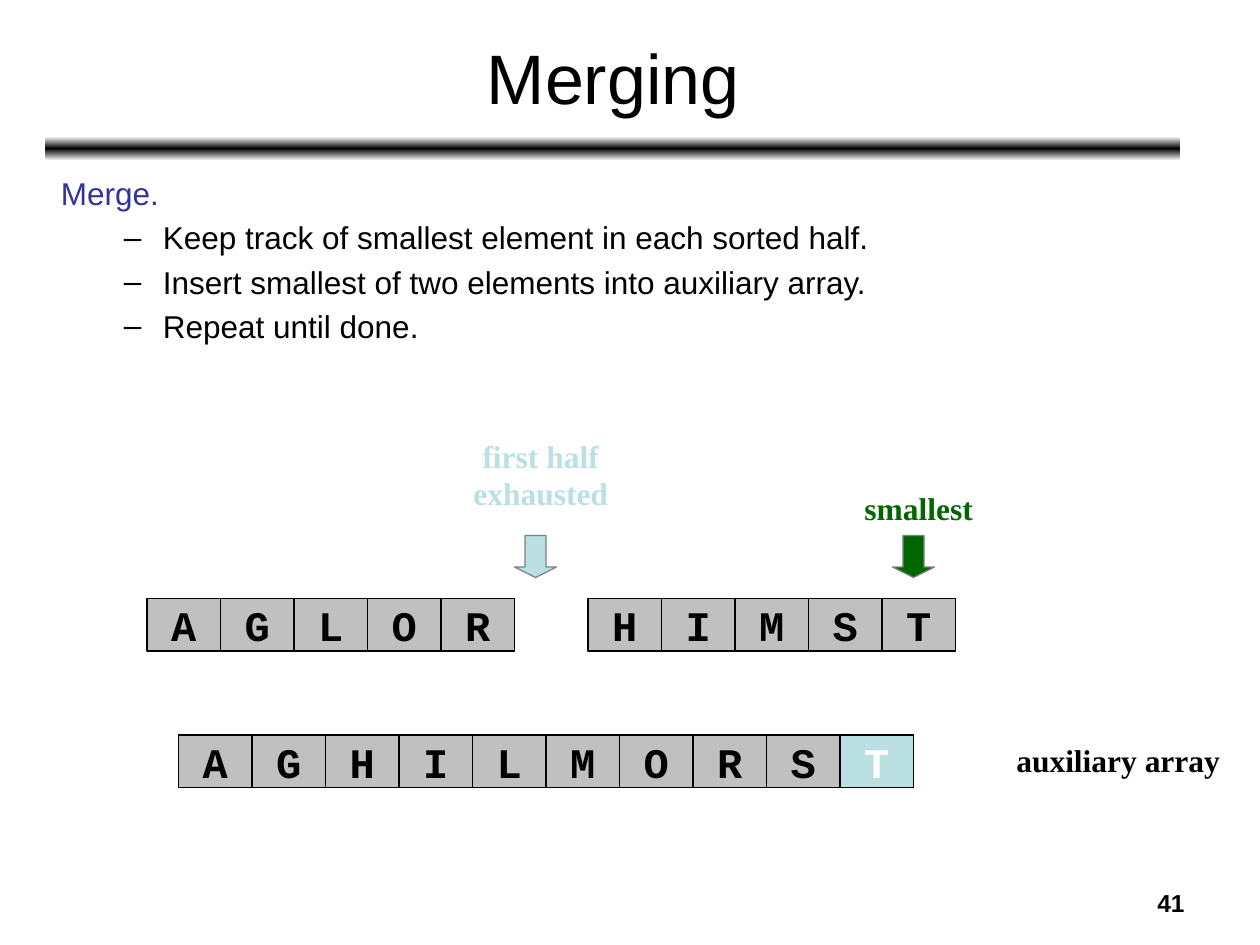
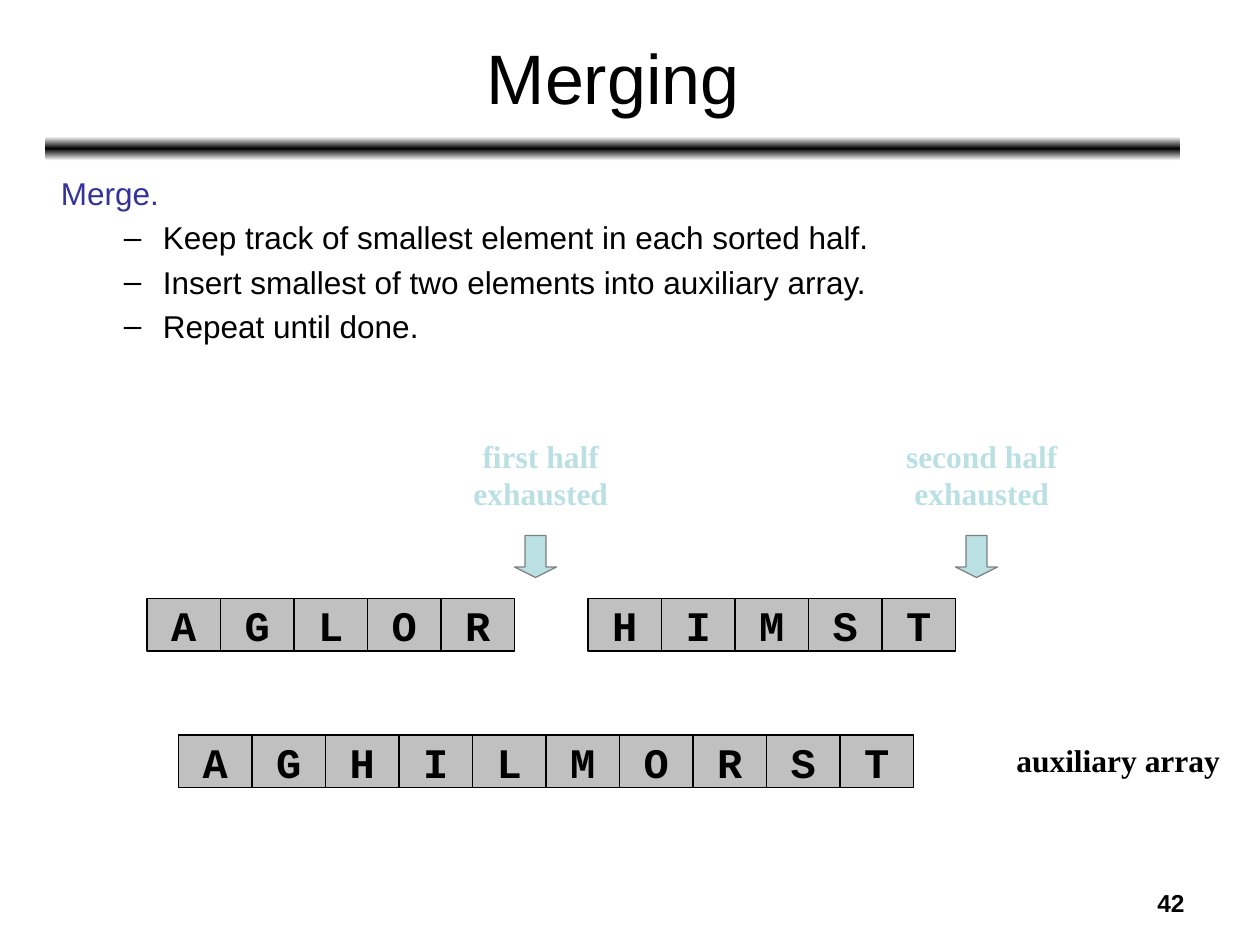
"""Build two slides that show the last steps of merging two sorted halves."""
from copy import deepcopy
from dataclasses import dataclass

from lxml import etree
from pptx import Presentation
from pptx.dml.color import RGBColor
from pptx.enum.shapes import MSO_SHAPE
from pptx.enum.text import MSO_ANCHOR, MSO_AUTO_SIZE, PP_ALIGN
from pptx.oxml.ns import qn
from pptx.shapes.autoshape import Shape
from pptx.slide import Slide
from pptx.text.text import TextFrame, _Paragraph
from pptx.util import Inches, Pt

RECTANGLE, ROUNDED, DOWN_ARROW = MSO_SHAPE.RECTANGLE, MSO_SHAPE.ROUNDED_RECTANGLE, MSO_SHAPE.DOWN_ARROW
LEFT, CENTER, RIGHT = PP_ALIGN.LEFT, PP_ALIGN.CENTER, PP_ALIGN.RIGHT
MIDDLE = MSO_ANCHOR.MIDDLE
NO_FIT, GROW = MSO_AUTO_SIZE.NONE, MSO_AUTO_SIZE.SHAPE_TO_FIT_TEXT

SLIDE_WIDTH, SLIDE_HEIGHT = Inches(10), Inches(7.5)
COLUMNS, ROWS = 120, 90
COLUMN, ROW = SLIDE_WIDTH // COLUMNS, SLIDE_HEIGHT // ROWS

COLORS = {
    "ink": "000000",
    "paper": "FFFFFF",
    "heading": "333399",
    "cell": "C0C0C0",
    "pale": "BBE0E3",
    "green": "006600",
    "outline": "808080",
}
SANS, SERIF, MONO = "Arial", "Times New Roman", "Courier New"

TITLE = "Merging"
HEADING = "Merge."
STEPS = [
    "Keep track of smallest element in each sorted half.",
    "Insert smallest of two elements into auxiliary array.",
    "Repeat until done.",
]


@dataclass(frozen=True)
class Box:
    """A place on the grid, in columns and rows."""

    left: float
    top: float
    width: float
    height: float

    def lengths(self) -> tuple[int, int, int, int]:
        """Return left, top, width and height as slide lengths."""
        return (round(self.left * COLUMN), round(self.top * ROW),
                round(self.width * COLUMN), round(self.height * ROW))


@dataclass(frozen=True)
class TextStyle:
    """The look of a piece of text."""

    font: str
    size: int
    color: str = "ink"
    bold: bool = False
    align: PP_ALIGN = CENTER


@dataclass(frozen=True)
class Pointer:
    """A label above an arrow that points at an array position."""

    label: str
    label_box: Box
    arrow_left: float
    color: str


@dataclass(frozen=True)
class LetterRow:
    """An array of letters that starts at a grid position."""

    letters: str
    left: float
    top: float


@dataclass(frozen=True)
class MergeStep:
    """What changes from one slide to the next."""

    number: int
    pointers: tuple[Pointer, ...]
    newest_index: int | None = None


TITLE_BOX = Box(4.4, 1.3, 108, 11.9)
BODY_BOX = Box(4.6, 16, 108, 66.6)
BAR_BOX = Box(4.3, 13, 108.1, 2.3)
NUMBER_BOX = Box(86, 84, 28, 4.2)
AUXILIARY_BOX = Box(95, 70, 23, 4.8)
CELL_WIDTH, CELL_HEIGHT = 7, 5
ARROW_TOP, ARROW_SIZE = 51, 4

HALVES = (LetterRow("AGLOR", 14, 57), LetterRow("HIMST", 56, 57))
AUXILIARY = LetterRow("AGHILMORST", 17, 70)

FIRST_DONE = Pointer("first half\vexhausted", Box(39, 41, 25, 8.4), 49, "pale")
SECOND_DONE = Pointer("second half\vexhausted", Box(81, 41, 25, 8.4), 91, "pale")
SMALLEST = Pointer("smallest", Box(75, 46, 25, 4.8), 85, "green")
MERGE_STEPS = (
    MergeStep(41, (FIRST_DONE, SMALLEST), newest_index=9),
    MergeStep(42, (FIRST_DONE, SECOND_DONE)),
)


def rgb(name: str) -> RGBColor:
    """Return a named colour."""
    return RGBColor.from_string(COLORS[name])


def style_paragraph(paragraph: _Paragraph, style: TextStyle) -> None:
    """Format a paragraph and its runs."""
    paragraph.alignment = style.align
    for run in paragraph.runs:
        run.font.name = style.font
        run.font.size = Pt(style.size)
        run.font.bold = style.bold
        run.font.color.rgb = rgb(style.color)


def set_text(text_frame: TextFrame, text: str, style: TextStyle) -> None:
    """Put text in a frame and format it."""
    text_frame.text = text
    for paragraph in text_frame.paragraphs:
        style_paragraph(paragraph, style)


def place(shape: Shape, box: Box) -> None:
    """Move a placeholder to a grid position."""
    shape.left, shape.top, shape.width, shape.height = box.lengths()


def add_label(slide: Slide, text: str, box: Box, style: TextStyle) -> TextFrame:
    """Add a wrapping text box."""
    text_frame = slide.shapes.add_textbox(*box.lengths()).text_frame
    text_frame.word_wrap = True
    set_text(text_frame, text, style)
    return text_frame


def add_figure(slide: Slide, kind: MSO_SHAPE, box: Box, fill: str, line: str) -> Shape:
    """Add a flat shape with a solid fill and a thin outline."""
    shape = slide.shapes.add_shape(kind, *box.lengths())
    shape.shadow.inherit = False
    shape.fill.solid()
    shape.fill.fore_color.rgb = rgb(fill)
    shape.line.color.rgb = rgb(line)
    shape.line.width = Pt(0.75)
    return shape


def add_bar(slide: Slide) -> None:
    """Add the bar under the title, dark in the middle and fading at both edges."""
    bar = slide.shapes.add_shape(ROUNDED, *BAR_BOX.lengths())
    bar.shadow.inherit = False
    bar.line.fill.background()
    bar.fill.gradient()
    stop_list = next(bar.element.iter(qn("a:gsLst")))
    stop_list.append(deepcopy(stop_list[-1]))
    for index, (stop, color) in enumerate(zip(bar.fill.gradient_stops, ("paper", "ink", "paper"))):
        stop.position = index / 2
        stop.color.rgb = rgb(color)
    bar.fill.gradient_angle = 90


def set_bullet(paragraph: _Paragraph, margin: float, indent: float, bullet: str = "") -> None:
    """Set a paragraph's indents in inches, and its bullet if it has one."""
    properties = paragraph._p.get_or_add_pPr()
    properties.set("marL", str(Inches(margin)))
    properties.set("indent", str(Inches(indent)))
    if bullet:
        etree.SubElement(properties, qn("a:buChar")).set("char", bullet)
    else:
        etree.SubElement(properties, qn("a:buNone"))


def add_frame(slide: Slide, number: int) -> None:
    """Fill the title, the list, the bar and the slide number."""
    add_bar(slide)
    title, body = slide.shapes.title, slide.placeholders[1]
    place(title, TITLE_BOX)
    title.text_frame.vertical_anchor = MIDDLE
    title.text_frame.auto_size = NO_FIT
    set_text(title.text_frame, TITLE, TextStyle(SANS, 40))

    place(body, BODY_BOX)
    body.text_frame.auto_size = NO_FIT
    body.text_frame.text = "\n".join([HEADING, *STEPS])
    heading, *steps = body.text_frame.paragraphs
    set_bullet(heading, 0, 0)
    style_paragraph(heading, TextStyle(SANS, 18, "heading", align=LEFT))
    for step in steps:
        step.level = 1
        set_bullet(step, 0.81, -0.31, "–")
        style_paragraph(step, TextStyle(SANS, 18, align=LEFT))

    add_label(slide, str(number), NUMBER_BOX, TextStyle(SANS, 14, bold=True, align=RIGHT))


def add_letter_row(slide: Slide, row: LetterRow, newest_index: int | None = None) -> None:
    """Draw an array as touching cells, with the newest one highlighted."""
    for index, letter in enumerate(row.letters):
        newest = index == newest_index
        box = Box(row.left + index * CELL_WIDTH, row.top, CELL_WIDTH, CELL_HEIGHT)
        cell = add_figure(slide, RECTANGLE, box, "pale" if newest else "cell", "ink")
        cell.text_frame.word_wrap = False
        cell.text_frame.vertical_anchor = MIDDLE
        set_text(cell.text_frame, letter, TextStyle(MONO, 24, "paper" if newest else "ink", bold=True))


def add_pointer(slide: Slide, pointer: Pointer) -> None:
    """Draw a label and the arrow below it."""
    style = TextStyle(SERIF, 18, pointer.color, bold=True)
    add_label(slide, pointer.label, pointer.label_box, style).auto_size = GROW
    arrow_box = Box(pointer.arrow_left, ARROW_TOP, ARROW_SIZE, ARROW_SIZE)
    arrow = add_figure(slide, DOWN_ARROW, arrow_box, pointer.color, "outline")
    arrow.adjustments[0], arrow.adjustments[1] = 0.5, 0.25


def add_merge_slide(presentation: Presentation, step: MergeStep) -> None:
    """Add the slide for one step of the merge."""
    slide = presentation.slides.add_slide(presentation.slide_layouts[1])
    add_frame(slide, step.number)
    add_label(slide, "auxiliary array", AUXILIARY_BOX, TextStyle(SERIF, 18, bold=True)).auto_size = GROW
    for pointer in step.pointers:
        add_pointer(slide, pointer)
    for half in HALVES:
        add_letter_row(slide, half)
    add_letter_row(slide, AUXILIARY, step.newest_index)


def main() -> None:
    """Build and save the presentation."""
    presentation = Presentation()
    presentation.slide_width, presentation.slide_height = SLIDE_WIDTH, SLIDE_HEIGHT
    for step in MERGE_STEPS:
        add_merge_slide(presentation, step)
    presentation.save("out.pptx")


if __name__ == "__main__":
    main()
